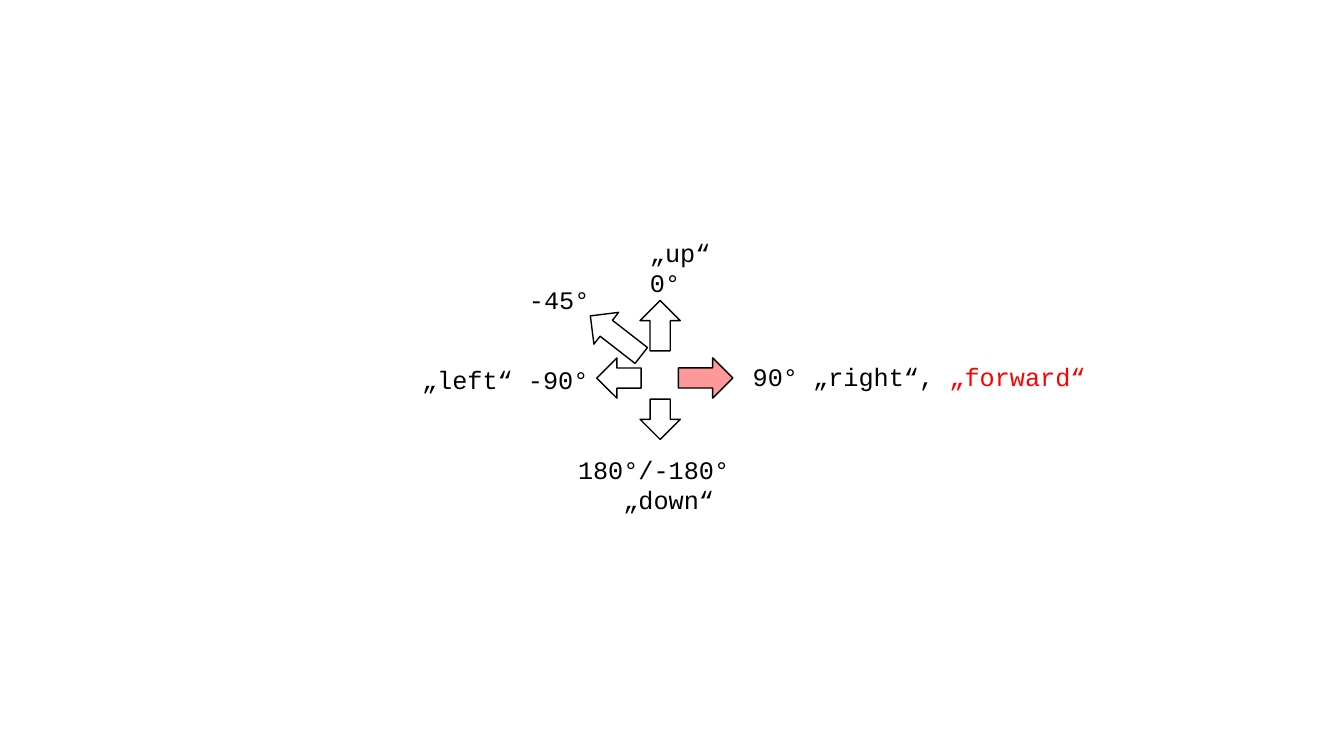
import dataclasses

import pptx
import pptx.dml.color
import pptx.enum.shapes
import pptx.enum.text
import pptx.oxml
import pptx.oxml.ns
import pptx.util

SLIDE_WIDTH = pptx.util.Inches(13.33)
SLIDE_HEIGHT = pptx.util.Inches(7.5)
BLACK, WHITE, RED = "000000", "FFFFFF", "FF0000"
ARROW_THICKNESS = 5.33  # percent of the slide height
LINE_HEIGHT = 5.33


@dataclasses.dataclass
class Direction:
    """Arrow centre and length in percent of the slide, rotation in degrees."""
    center_x: float
    center_y: float
    length: float
    rotation: float
    fill: str = WHITE


@dataclasses.dataclass
class Label:
    """Place in percent of the slide; each line is a list of (text, colour)."""
    left: float
    top: float
    width: float
    height: float
    lines: list[list[tuple[str, str]]]
    centered: bool = False
    last_indent: float = 0


DIRECTIONS = [
    Direction(52.5, 50, 4.05, 0, RED),
    Direction(49.12, 43.07, 3.75, 270),
    Direction(45.82, 44.4, 4.8, 217.9),
    Direction(46.05, 50, 3.3, 180),
    Direction(49.12, 55.47, 3, 90),
]
LABELS = [
    Label(55.27, 47.07, 26.4, LINE_HEIGHT,
          [[("90° „right“, ", BLACK), ("„forward“", RED)]]),
    Label(47.62, 30.67, 6.08, 9.47, [[("„up“", BLACK)], [("0°", BLACK)]]),
    Label(38.62, 36.93, 7.2, LINE_HEIGHT, [[("-45°", BLACK)]]),
    Label(30.67, 47.47, 13.95, LINE_HEIGHT, [[("„left“ -90°", BLACK)]]),
    Label(42.22, 59.47, 12.83, 9.47,
          [[("180°/-180°", BLACK)], [("„down“", BLACK)]],
          centered=True, last_indent=2.25),
]


def across(percent: float) -> int:
    return round(SLIDE_WIDTH * percent / 100)


def down(percent: float) -> int:
    return round(SLIDE_HEIGHT * percent / 100)


def color(hex_value: str) -> pptx.dml.color.RGBColor:
    return pptx.dml.color.RGBColor.from_string(hex_value)


def add_run(paragraph, text: str, *, ink: str = BLACK, size: float = 18,
            font: str = "Courier New") -> None:
    run = paragraph.add_run()
    run.text = text
    run.font.name = font
    run.font.size = pptx.util.Pt(size)
    run.font.color.rgb = color(ink)


def draw_label(slide, label: Label) -> None:
    frame = slide.shapes.add_textbox(
        across(label.left), down(label.top),
        across(label.width), down(label.height)).text_frame
    frame.word_wrap = False
    frame.auto_size = pptx.enum.text.MSO_AUTO_SIZE.SHAPE_TO_FIT_TEXT
    for index, line in enumerate(label.lines):
        paragraph = frame.add_paragraph() if index else frame.paragraphs[0]
        if label.centered:
            paragraph.alignment = pptx.enum.text.PP_ALIGN.CENTER
        for text, ink in line:
            add_run(paragraph, text, ink=ink)
    if label.last_indent:
        properties = paragraph._p.get_or_add_pPr()
        properties.set("marL", str(across(label.last_indent)))
        properties.set("indent", "0")


def draw_arrow(slide, direction: Direction) -> None:
    length, thickness = across(direction.length), down(ARROW_THICKNESS)
    arrow = slide.shapes.add_shape(
        pptx.enum.shapes.MSO_SHAPE.RIGHT_ARROW,
        across(direction.center_x) - length // 2,
        down(direction.center_y) - thickness // 2, length, thickness)
    arrow.rotation = direction.rotation
    arrow.shadow.inherit = False
    arrow.fill.solid()
    arrow.fill.fore_color.rgb = color(direction.fill)
    arrow.line.color.rgb = color(BLACK)
    arrow.line.width = pptx.util.Pt(1)
    # Fill opacity of 40 percent
    fill_color = arrow._element.spPr.find(
        pptx.oxml.ns.qn("a:solidFill")).find(pptx.oxml.ns.qn("a:srgbClr"))
    fill_color.append(pptx.oxml.parse_xml(
        f'<a:alpha {pptx.oxml.ns.nsdecls("a")} val="40000"/>'))


def main() -> None:
    presentation = pptx.Presentation()
    presentation.slide_width = SLIDE_WIDTH
    presentation.slide_height = SLIDE_HEIGHT
    slide = presentation.slides.add_slide(presentation.slide_layouts[6])

    # Angle labels
    for label in LABELS:
        draw_label(slide, label)

    # Direction arrows
    for direction in DIRECTIONS:
        draw_arrow(slide, direction)

    presentation.save("out.pptx")


if __name__ == "__main__":
    main()
